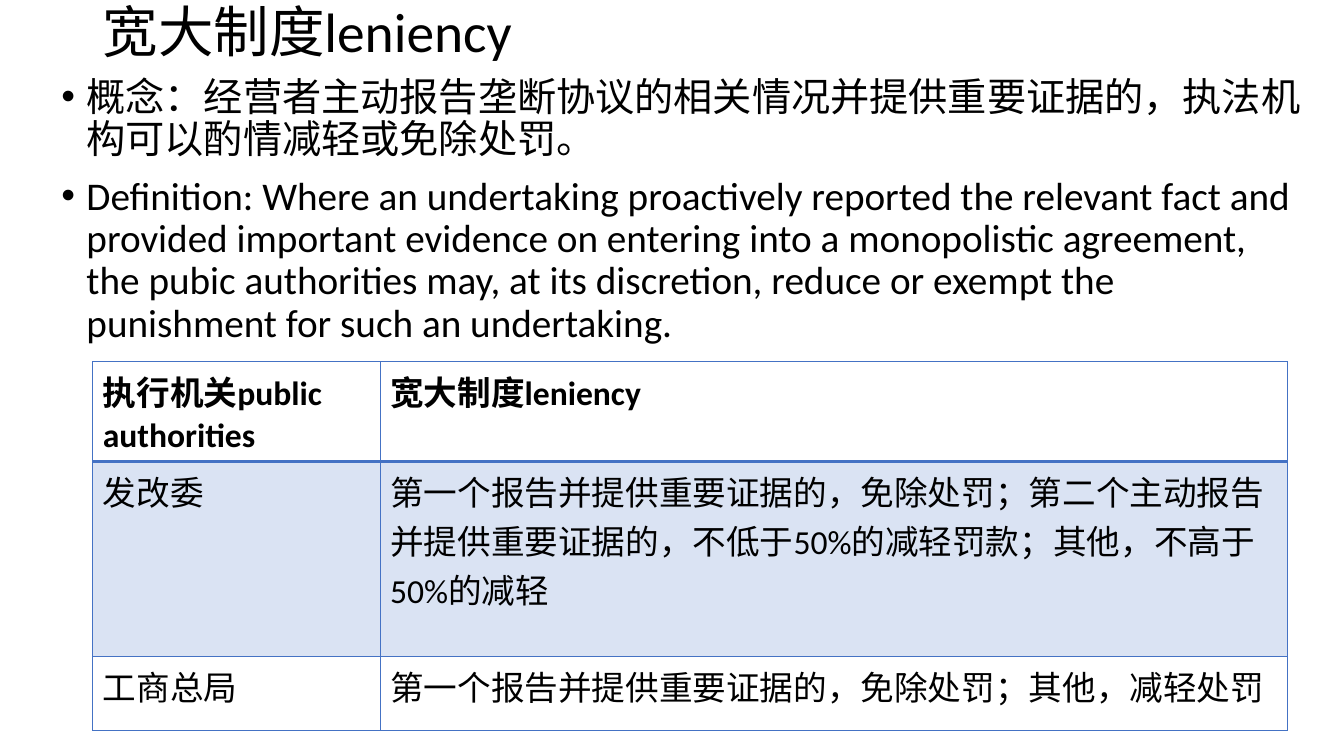
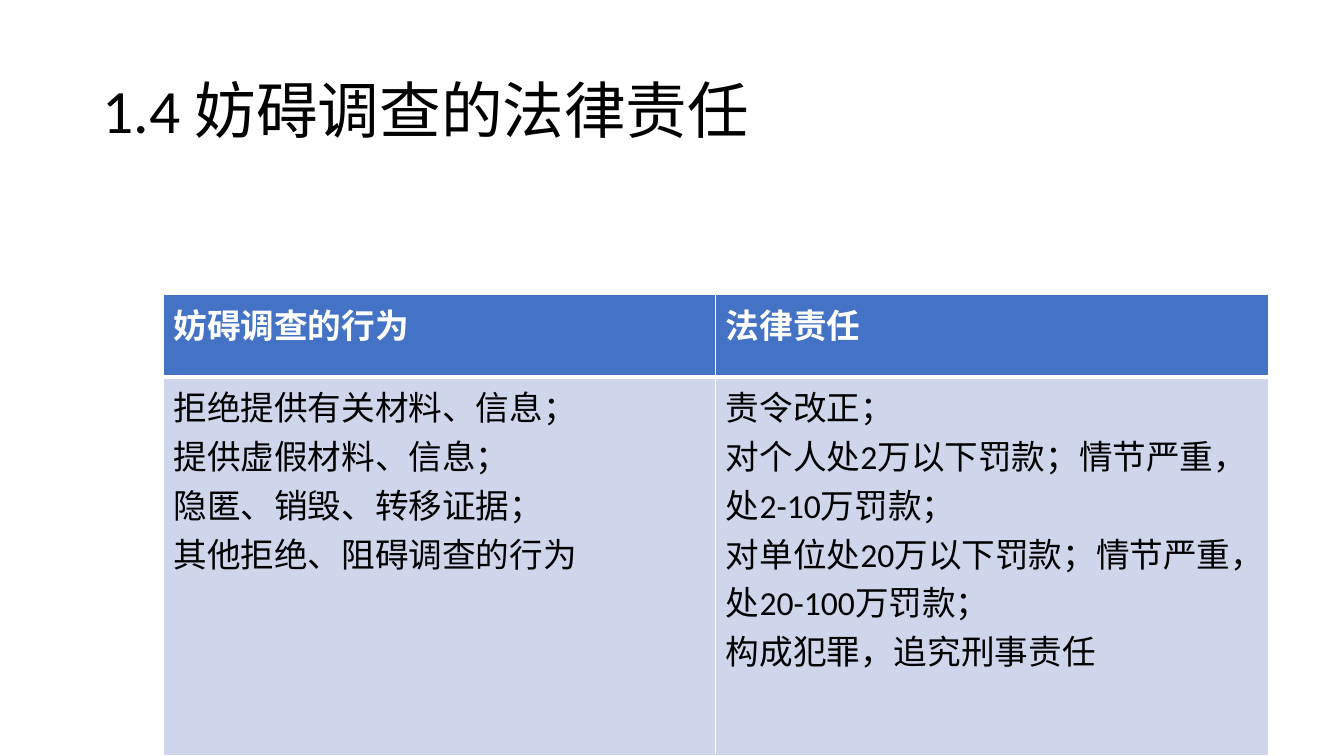
from lxml.etree import SubElement as Sub
from pptx import Presentation
from pptx.dml.color import RGBColor as RGB
from pptx.enum.text import MSO_ANCHOR as Anchor
from pptx.oxml.ns import qn
from pptx.util import Inches, Pt

FONT = "Calibri"
COLORS = {"ink": "000000", "blue": "4472C4", "pale": "DAE3F3",
          "band": "CFD5EA", "white": "FFFFFF"}

# Content
POINTS = [
    "概念：经营者主动报告垄断协议的相关情况并提供重要证据的，执法机构可以酌情减轻或免除处罚。",
    "Definition: Where an undertaking proactively reported the relevant fact and "
    "provided important evidence on entering into a monopolistic agreement, the "
    "pubic authorities may, at its discretion, reduce or exempt the punishment "
    "for such an undertaking.",
]
LENIENCY = [
    ["执行机关public authorities", "宽大制度leniency"],
    ["发改委", "第一个报告并提供重要证据的，免除处罚；第二个主动报告并提供重要证据的，"
     "不低于50%的减轻罚款；其他，不高于50%的减轻"],
    ["工商总局", "第一个报告并提供重要证据的，免除处罚；其他，减轻处罚"],
]
DUTIES = [
    ["妨碍调查的行为", "法律责任"],
    ["拒绝提供有关材料、信息；\n提供虚假材料、信息；\n隐匿、销毁、转移证据；\n其他拒绝、阻碍调查的行为",
     "责令改正；\n对个人处2万以下罚款；情节严重，处2-10万罚款；\n"
     "对单位处20万以下罚款；情节严重，处20-100万罚款；\n构成犯罪，追究刑事责任"],
]
SLIDES = [
    {"title": "宽大制度leniency", "at": (0.92, 0, 11.5, 0.69), "size": 39.6,
     "points": POINTS, "area": (0.51, 0.72, 12.56, 2.88),
     "table": {"cells": LENIENCY, "at": (0.92, 3.59), "cols": [2.85, 9],
               "rows": [0.99, 1.93, 0.74], "fills": [None, "pale", None],
               "head": "ink", "line": "blue", "rule": 2}},
    {"title": "1.4 妨碍调查的法律责任", "at": (0.92, 0.4, 11.5, 1.45), "size": 44,
     "table": {"cells": DUTIES, "at": (1.62, 2.92), "cols": [5.48, 5.48],
               "rows": [0.82, 3.76], "fills": ["blue", "band"],
               "head": "white", "line": "white", "rule": 3}},
]


def style(para, size, color="ink", bold=False):
    font = para.font
    font.name, font.size, font.bold = FONT, Pt(size), bold
    font.color.rgb = RGB.from_string(COLORS[color])


def add_text(slide, at, lines, size, anchor=Anchor.TOP, bullet=False):
    frame = slide.shapes.add_textbox(*map(Inches, at)).text_frame
    frame.word_wrap = True
    frame.vertical_anchor = anchor
    frame.text = "\n".join(lines)
    for i, para in enumerate(frame.paragraphs):
        para.line_spacing = 0.9
        para.space_before = Pt(10 if i else 0)
        if bullet:
            props = para._p.get_or_add_pPr()
            props.set("marL", str(Inches(0.25)))
            props.set("indent", str(-Inches(0.25)))
            Sub(props, qn("a:buFont"), typeface="Arial")
            Sub(props, qn("a:buChar"), char="•")
        style(para, size)


def add_edges(cell, color, widths):
    props = cell._tc.get_or_add_tcPr()
    for side, width in zip("LRTB", widths):
        line = Sub(props, qn(f"a:ln{side}"), w=str(Pt(width)))
        Sub(Sub(line, qn("a:solidFill")), qn("a:srgbClr"), val=COLORS[color])


def add_grid(slide, spec):
    cols, rows = spec["cols"], spec["rows"]
    size = (*spec["at"], sum(cols), sum(rows))
    table = slide.shapes.add_table(len(rows), len(cols), *map(Inches, size)).table
    table.first_row = table.horz_banding = False
    for col, width in zip(table.columns, cols):
        col.width = Inches(width)
    for r, texts in enumerate(spec["cells"]):
        table.rows[r].height = Inches(rows[r])
        # The thick rule lies between the header and the first row
        top = spec["rule"] if r == 1 else 1
        low = spec["rule"] if r == 0 else 1
        for c, text in enumerate(texts):
            cell = table.cell(r, c)
            cell.text_frame.text = text
            for para in cell.text_frame.paragraphs:
                style(para, 24, "ink" if r else spec["head"], r == 0)
            add_edges(cell, spec["line"], (1, 1, top, low))
            fill = spec["fills"][r]
            if fill:
                cell.fill.solid()
                cell.fill.fore_color.rgb = RGB.from_string(COLORS[fill])
            else:
                cell.fill.background()


def main():
    deck = Presentation()
    deck.slide_width, deck.slide_height = Inches(13.33), Inches(7.5)
    for page in SLIDES:
        slide = deck.slides.add_slide(deck.slide_layouts[6])
        add_text(slide, page["at"], [page["title"]], page["size"], Anchor.MIDDLE)
        if "points" in page:
            add_text(slide, page["area"], page["points"], 28, bullet=True)
        add_grid(slide, page["table"])
    deck.save("out.pptx")


if __name__ == "__main__":
    main()
